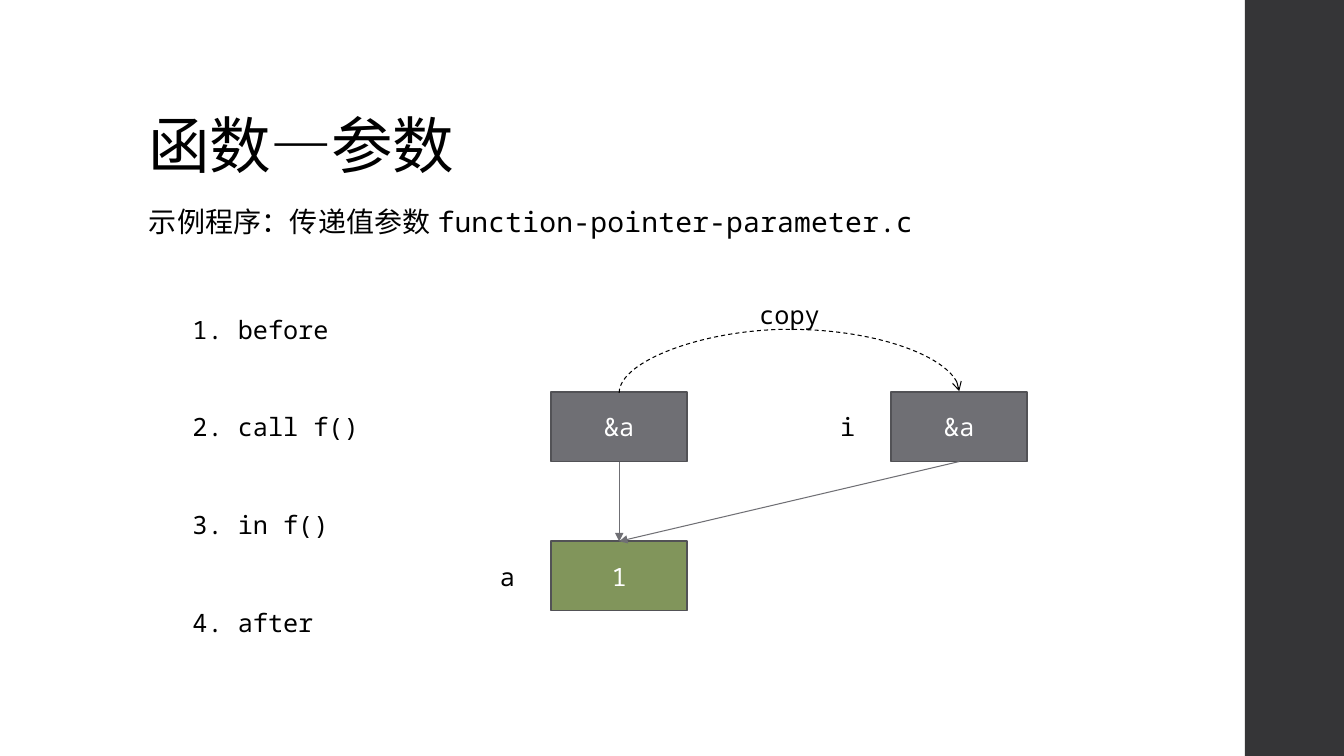
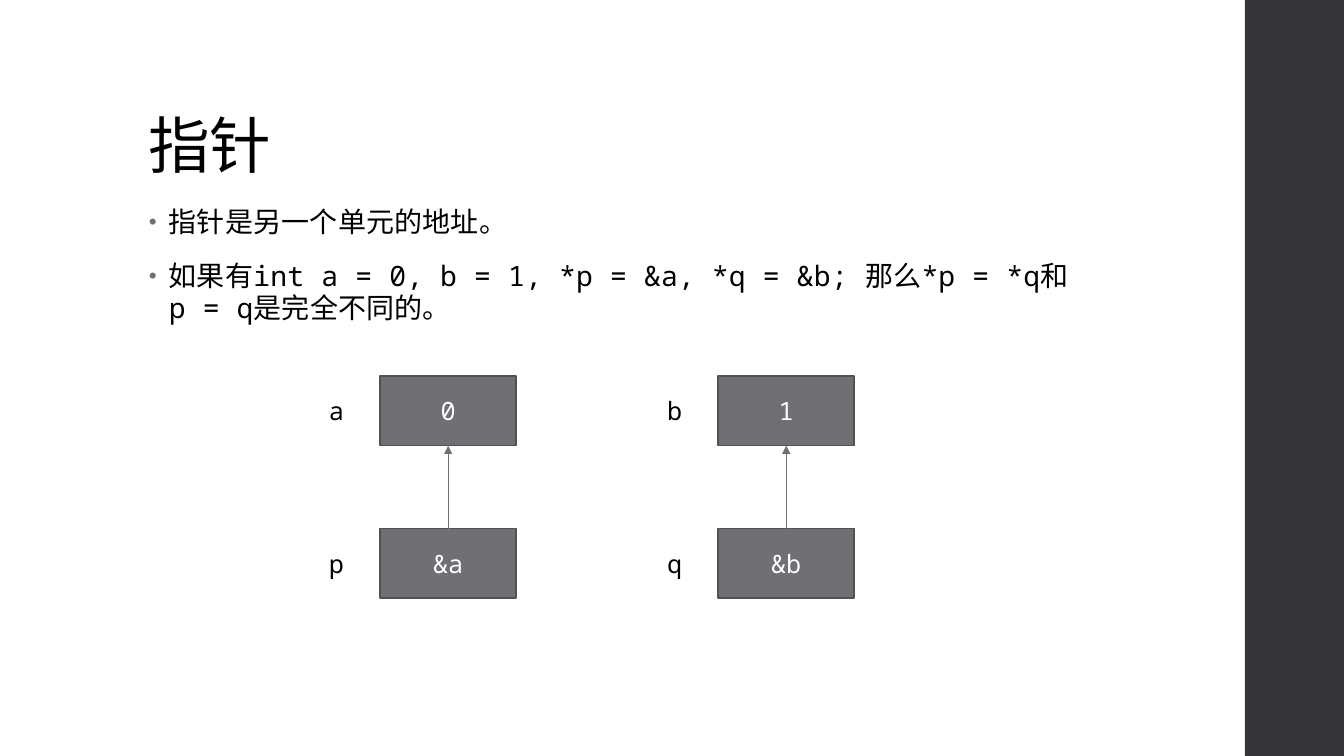
import pptx
import pptx.dml.color
import pptx.enum.dml
import pptx.enum.shapes
import pptx.enum.text
import pptx.oxml
import pptx.oxml.ns
import pptx.util
from pptx.util import Cm, Pt

# Shared style
MONO = "Noto Sans Mono"
TITLE_FONT = "TeX Gyre Schola"
BLACK, WHITE = "000000", "FFFFFF"
BAND, GREY, OUTLINE, GREEN = "353537", "6F6F74", "525256", "81955B"

# Shared sizes in centimetres
SLIDE_WIDTH, SLIDE_HEIGHT = 33.87, 19.05
BAND_LEFT = 31.37
TEXT_LEFT = 3.5
CELL_WIDTH, CELL_HEIGHT = 3.43, 1.75
LABEL_WIDTH = 2.2
STEP_LEFT, STEP_TOP, STEP_WIDTH, STEP_PITCH = 4.6, 7.42, 5.1, 2.46

TOP_SITE, BOTTOM_SITE = 0, 2
ALIGN = pptx.enum.text.PP_ALIGN
ANCHOR = pptx.enum.text.MSO_ANCHOR
CONNECTOR = pptx.enum.shapes.MSO_CONNECTOR


def rgb(value):
    return pptx.dml.color.RGBColor.from_string(value)


def add_xml(parent, tag, **attributes):
    element = pptx.oxml.parse_xml(f'<a:{tag} {pptx.oxml.ns.nsdecls("a")}/>')
    for name, value in attributes.items():
        element.set(name, str(value))
    parent.append(element)
    return element


def style_font(paragraph, size, name=MONO, color=BLACK, spacing=0):
    font = paragraph.font
    font.size, font.name = Pt(size), name
    font.color.rgb = rgb(color)
    if spacing:
        font._rPr.set("spc", str(spacing))


def place(shape, left, top, width, height):
    shape.left, shape.top = Cm(left), Cm(top)
    shape.width, shape.height = Cm(width), Cm(height)


def add_band(presentation, slide):
    """Draw the side band and hand it to the slide master."""
    band = slide.shapes.add_shape(
        pptx.enum.shapes.MSO_SHAPE.RECTANGLE, Cm(BAND_LEFT), 0,
        Cm(SLIDE_WIDTH - BAND_LEFT), Cm(SLIDE_HEIGHT))
    band.shadow.inherit = False
    band.fill.solid()
    band.fill.fore_color.rgb = rgb(BAND)
    band.line.fill.background()
    presentation.slide_master.shapes.element.append(band.element)


def set_title(slide, text):
    title = slide.shapes.title
    place(title, TEXT_LEFT, 1.02, 26.92, 3.68)
    frame = title.text_frame
    frame.text = text
    frame.vertical_anchor = ANCHOR.BOTTOM
    frame.auto_size = pptx.enum.text.MSO_AUTO_SIZE.NONE
    paragraph = frame.paragraphs[0]
    paragraph.alignment = ALIGN.LEFT
    paragraph.line_spacing = 0.9
    style_font(paragraph, 44, TITLE_FONT, spacing=-50)


def set_bullet(paragraph, bulleted):
    properties = paragraph._p.get_or_add_pPr()
    indent = Cm(0.5) if bulleted else 0
    properties.set("marL", str(indent))
    properties.set("indent", str(-indent))
    if bulleted:
        add_xml(add_xml(properties, "buClr"), "srgbClr", val=GREY)
        add_xml(properties, "buSzPct", val=80000)
        add_xml(properties, "buChar", char="•")
    else:
        add_xml(properties, "buNone")


def set_body(slide, lines, height, bulleted):
    body = slide.placeholders[1]
    place(body, TEXT_LEFT, 5.08, 23.88, height)
    frame = body.text_frame
    frame.text = "\n".join(lines)
    frame.auto_size = pptx.enum.text.MSO_AUTO_SIZE.NONE
    for index, paragraph in enumerate(frame.paragraphs):
        set_bullet(paragraph, bulleted)
        paragraph.line_spacing = 0.95
        paragraph.space_before = Pt(14 if index else 0)
        paragraph.space_after = Pt(2)
        style_font(paragraph, 20, spacing=10)


def fill_text(shape, text, color, alignment):
    frame = shape.text_frame
    frame.word_wrap = True
    frame.vertical_anchor = ANCHOR.MIDDLE
    frame.text = text
    frame.paragraphs[0].alignment = alignment
    style_font(frame.paragraphs[0], 18, color=color)


def add_label(slide, text, left, top, width=LABEL_WIDTH, alignment=ALIGN.CENTER):
    label = slide.shapes.add_textbox(Cm(left), Cm(top), Cm(width), Cm(CELL_HEIGHT))
    fill_text(label, text, BLACK, alignment)


def add_cell(slide, value, left, top, name="", fill=GREY):
    """A memory cell, with the variable's name on its left."""
    cell = slide.shapes.add_shape(
        pptx.enum.shapes.MSO_SHAPE.RECTANGLE,
        Cm(left), Cm(top), Cm(CELL_WIDTH), Cm(CELL_HEIGHT))
    cell.shadow.inherit = False
    cell.fill.solid()
    cell.fill.fore_color.rgb = rgb(fill)
    cell.line.color.rgb = rgb(OUTLINE)
    cell.line.width = Pt(1.1)
    fill_text(cell, value, WHITE, ALIGN.CENTER)
    if name:
        add_label(slide, name, left - LABEL_WIDTH, top)
    return cell


def connect(slide, kind, start, start_site, end, end_site, color, head):
    connector = slide.shapes.add_connector(kind, 0, 0, 0, 0)
    connector.begin_connect(start, start_site)
    connector.end_connect(end, end_site)
    connector.line.color.rgb = rgb(color)
    connector.line.width = Pt(0.75)
    if kind == CONNECTOR.CURVE:
        connector.line.dash_style = pptx.enum.dml.MSO_LINE.DASH
    add_xml(connector.line._get_or_add_ln(), "tailEnd", type=head)
    add_xml(connector._element.spPr, "effectLst")
    return connector


def add_pointer(slide, start, start_site, end, end_site):
    connect(slide, CONNECTOR.STRAIGHT, start, start_site, end, end_site, GREY, "triangle")


def add_copy_arc(slide, start, end, rise):
    """A dashed arc over two cells: a curved connector turned by 90 degrees."""
    arc = connect(slide, CONNECTOR.CURVE, start, TOP_SITE, end, TOP_SITE, BLACK, "arrow")
    span, depth = end.left - start.left, Cm(0.04)
    middle = (start.left + end.left + start.width) // 2
    arc.left, arc.top = middle - depth // 2, start.top - span // 2
    arc.width, arc.height = depth, span
    transform = arc._element.spPr.find(pptx.oxml.ns.qn("a:xfrm"))
    for name, value in (("rot", "5400000"), ("flipH", "1"), ("flipV", "1")):
        transform.set(name, value)
    geometry = arc._element.spPr.find(pptx.oxml.ns.qn("a:prstGeom"))
    geometry.set("prst", "curvedConnector3")
    adjustments = geometry.get_or_add_avLst()
    add_xml(adjustments, "gd", name="adj1", fmla=f"val {round(Cm(rise) / depth * 100000)}")


def add_slide(presentation, title, lines, body_height, bulleted):
    slide = presentation.slides.add_slide(presentation.slide_layouts[1])
    set_title(slide, title)
    set_body(slide, lines, body_height, bulleted)
    return slide


def build_parameter_slide(presentation):
    slide = add_slide(presentation, "函数—参数",
                      ["示例程序：传递值参数 function-pointer-parameter.c"], 1.27, False)
    # Steps of the call
    for index, step in enumerate(["before", "call f()", "in f()", "after"]):
        add_label(slide, f"{index + 1}. {step}", STEP_LEFT, STEP_TOP + index * STEP_PITCH,
                  STEP_WIDTH, ALIGN.LEFT)
    # Argument, its copy and the variable that both point at
    left, right, top, bottom = 13.89, 22.46, 9.88, 13.64
    argument = add_cell(slide, "&a", left, top)
    parameter = add_cell(slide, "&a", right, top, "i")
    variable = add_cell(slide, "1", left, bottom, "a", GREEN)
    add_label(slide, "copy", 18.8, 7.04)
    add_copy_arc(slide, argument, parameter, 1.6)
    for pointer in (argument, parameter):
        add_pointer(slide, pointer, BOTTOM_SITE, variable, TOP_SITE)
    return slide


def build_pointer_slide(presentation):
    slide = add_slide(presentation, "指针", [
        "指针是另一个单元的地址。",
        "如果有int a = 0, b = 1, *p = &a, *q = &b; 那么*p = *q和p = q是完全不同的。",
    ], 12.09, True)
    # Each variable with the pointer below it
    for left, variable, value, pointer in ((9.58, "a", "0", "p"), (18.1, "b", "1", "q")):
        target = add_cell(slide, value, left, 9.48, variable)
        source = add_cell(slide, f"&{variable}", left, 13.32, pointer)
        add_pointer(slide, source, TOP_SITE, target, BOTTOM_SITE)


def main():
    presentation = pptx.Presentation()
    presentation.slide_width, presentation.slide_height = Cm(SLIDE_WIDTH), Cm(SLIDE_HEIGHT)
    first_slide = build_parameter_slide(presentation)
    add_band(presentation, first_slide)
    build_pointer_slide(presentation)
    presentation.save("out.pptx")


if __name__ == "__main__":
    main()
